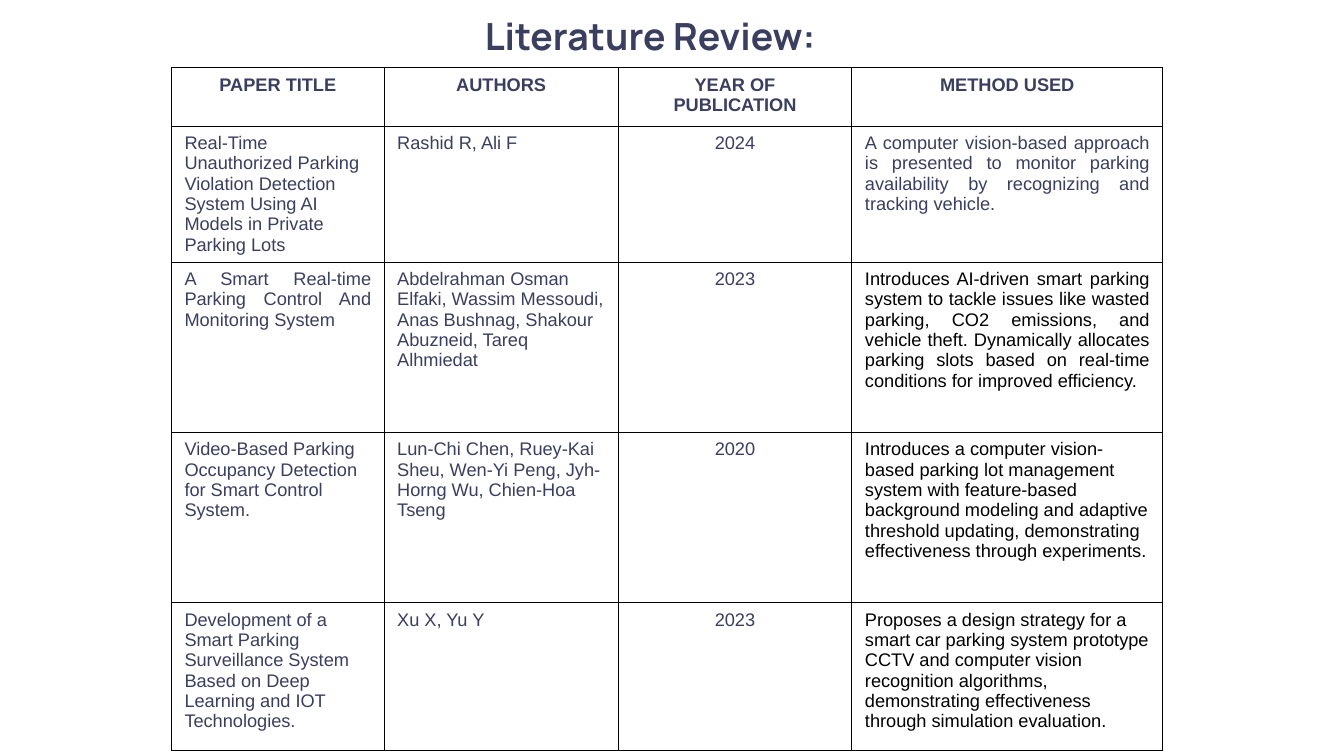
"""Builds the literature review slide with its table of papers."""
from lxml import etree
from pptx import Presentation
from pptx.dml.color import RGBColor
from pptx.enum.text import MSO_ANCHOR, MSO_AUTO_SIZE, PP_ALIGN
from pptx.oxml.ns import qn
from pptx.util import Inches, Pt

LEFT, CENTER, JUSTIFY = PP_ALIGN.LEFT, PP_ALIGN.CENTER, PP_ALIGN.JUSTIFY
MIDDLE, TOP = MSO_ANCHOR.MIDDLE, MSO_ANCHOR.TOP
NO_FIT = MSO_AUTO_SIZE.NONE
NAVY, BLACK, WHITE = "3A3E5F", "000000", "FFFFFF"

TITLE = "Literature Review:"
HEADINGS = ["PAPER TITLE", "AUTHORS", "YEAR OF PUBLICATION", "METHOD USED"]
PAPERS = [
    ["Real-Time Unauthorized Parking Violation Detection System Using AI Models "
     "in Private Parking Lots",
     "Rashid R, Ali F",
     "2024",
     "A computer vision-based approach is presented to monitor parking "
     "availability by recognizing and tracking vehicle."],
    ["A Smart Real-time Parking Control And Monitoring System",
     "Abdelrahman Osman Elfaki, Wassim Messoudi, Anas Bushnag, Shakour Abuzneid, "
     "Tareq Alhmiedat",
     "2023",
     "Introduces AI-driven smart parking system to tackle issues like wasted "
     "parking, CO2 emissions, and vehicle theft. Dynamically allocates parking "
     "slots based on real-time conditions for improved efficiency."],
    ["Video-Based Parking Occupancy Detection for Smart Control System.",
     "Lun-Chi Chen, Ruey-Kai Sheu, Wen-Yi Peng, Jyh-Horng Wu, Chien-Hoa Tseng",
     "2020",
     "Introduces a computer vision-based parking lot management system with "
     "feature-based background modeling and adaptive threshold updating, "
     "demonstrating effectiveness through experiments."],
    ["Development of a Smart Parking Surveillance System Based on Deep Learning "
     "and IOT Technologies.",
     "Xu X, Yu Y",
     "2023",
     "Proposes a design strategy for a smart car parking system prototype CCTV "
     "and computer vision recognition algorithms, demonstrating effectiveness "
     "through simulation evaluation."],
]
COLUMN_WIDTHS = [2.11, 2.32, 2.32, 3.08]
ROW_HEIGHTS = [0.58, 1.24, 1.69, 1.69, 1.47]
YEAR_COLUMN, METHOD_COLUMN = 2, 3
JUSTIFIED = {(1, 1), (1, 3), (2, 0), (2, 3)}


def color(value):
    return RGBColor.from_string(value)


def write(para, text, font, size, shade, bold, align):
    para.alignment = align
    span = para.add_run()
    span.text = text
    span.font.name = font
    span.font.size = Pt(size)
    span.font.bold = bold
    span.font.color.rgb = color(shade)


def set_margins(target, across, down):
    target.margin_left = target.margin_right = Inches(across)
    target.margin_top = target.margin_bottom = Inches(down)


def add_borders(cell):
    properties = cell._tc.get_or_add_tcPr()
    for position, side in enumerate(("lnL", "lnR", "lnT", "lnB")):
        line = etree.Element(qn(f"a:{side}"), w=str(Pt(0.75)))
        fill = etree.SubElement(line, qn("a:solidFill"))
        etree.SubElement(fill, qn("a:srgbClr"), val=BLACK)
        properties.insert(position, line)


def add_title(page):
    title = page.shapes.title
    title.left, title.top = Inches(2.36), Inches(0.15)
    title.width, title.height = Inches(8.18), Inches(0.48)
    box = title.text_frame
    box.auto_size = NO_FIT
    box.word_wrap = True
    box.vertical_anchor = MIDDLE
    set_margins(box, 0.1, 0.1)
    para = box.paragraphs[0]
    para.line_spacing = 0.8
    write(para, TITLE, "Manrope", 26.7, NAVY, True, CENTER)


def alignment(row, column):
    if row == 0 or column == YEAR_COLUMN:
        return CENTER
    return JUSTIFY if (row, column) in JUSTIFIED else LEFT


def add_papers(page):
    rows = [HEADINGS] + PAPERS
    table = page.shapes.add_table(
        len(rows), len(HEADINGS), Inches(1.7), Inches(0.67),
        Inches(sum(COLUMN_WIDTHS)), Inches(sum(ROW_HEIGHTS))).table
    table.first_row = table.horz_banding = False
    for column, width in zip(table.columns, COLUMN_WIDTHS):
        column.width = Inches(width)
    for row, height in zip(table.rows, ROW_HEIGHTS):
        row.height = Inches(height)
    for row, texts in enumerate(rows):
        for column, text in enumerate(texts):
            cell = table.cell(row, column)
            cell.fill.solid()
            cell.fill.fore_color.rgb = color(WHITE)
            cell.vertical_anchor = TOP
            set_margins(cell, 0.13, 0.07)
            add_borders(cell)
            shade = BLACK if row > 1 and column == METHOD_COLUMN else NAVY
            write(cell.text_frame.paragraphs[0], text, "Arial", 13, shade,
                  row == 0, alignment(row, column))


def main():
    deck = Presentation()
    deck.slide_width, deck.slide_height = Inches(13.33), Inches(7.5)
    page = deck.slides.add_slide(deck.slide_layouts[5])
    add_title(page)
    add_papers(page)
    deck.save("out.pptx")


if __name__ == "__main__":
    main()
